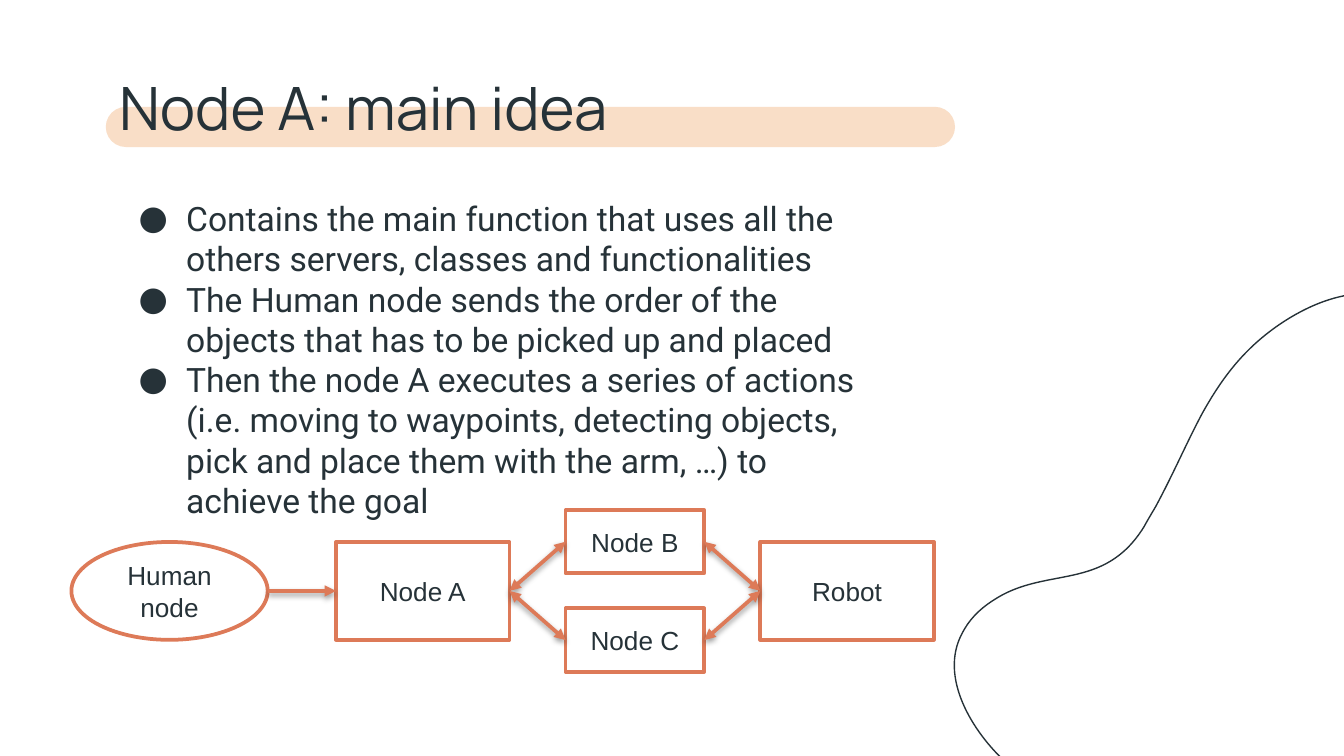
from lxml.etree import SubElement
from pptx import Presentation
from pptx.dml.color import RGBColor
from pptx.enum.shapes import MSO_CONNECTOR, MSO_SHAPE
from pptx.enum.text import MSO_ANCHOR, PP_ALIGN
from pptx.oxml.ns import qn
from pptx.util import Cm, Pt

COLORS = {"ink": "263238", "accent": "DD7A58", "peach": "F9DEC7",
          "white": "FFFFFF", "shadow": "000000"}

TITLE = "Node A: main idea"
BULLETS = [
    "Contains the main function that uses all the others servers, classes and functionalities",
    "The Human node sends the order of the objects that has to be picked up and placed",
    "Then the node A executes a series of actions (i.e. moving to waypoints, detecting objects, "
    "pick and place them with the arm, …) to achieve the goal",
]

# Diagram: label, shape, left, centre y, width, height (cm)
MID, OFFSET = 11.17, 0.93
NODES = [
    ("Human node", MSO_SHAPE.OVAL, 1.35, MID, 3.71, 1.85),
    ("Node A", MSO_SHAPE.RECTANGLE, 6.35, MID, 3.28, 1.85),
    ("Node B", MSO_SHAPE.RECTANGLE, 10.69, MID - OFFSET, 2.62, 1.2),
    ("Node C", MSO_SHAPE.RECTANGLE, 10.69, MID + OFFSET, 2.62, 1.2),
    ("Robot", MSO_SHAPE.RECTANGLE, 14.37, MID, 3.28, 1.85),
]
# From, to, arrowhead at both ends
LINKS = [
    ("Human node", "Node A", False),
    ("Node A", "Node B", True),
    ("Node A", "Node C", True),
    ("Node B", "Robot", True),
    ("Node C", "Robot", True),
]

# Blob outline: start point, then cubic Bezier segments (cm)
BLOB_START = (18.19, 11.96)
BLOB_CURVES = [
    ((18.31, 11.73), (18.49, 11.53), (18.77, 11.35)),
    ((19.76, 10.69), (20.85, 11.2), (21.62, 9.96)),
    ((21.69, 9.83), (21.77, 9.7), (21.84, 9.58)),
    ((22.17, 8.97), (22.43, 8.36), (22.73, 7.8)),
    ((23.09, 7.16), (23.52, 6.55), (24.31, 6.05)),
    ((25.65, 5.21), (26.75, 5.49), (27.76, 6.35)),
    ((29.51, 7.82), (29.49, 10.03), (28.42, 11.96)),
    ((27.97, 12.8), (27.33, 13.59), (26.54, 14.25)),
    ((24.05, 16.36), (21.03, 16.31), (19, 14.4)),
    ((18.39, 13.84), (17.73, 12.8), BLOB_START),
]


def rgb(name):
    return RGBColor.from_string(COLORS[name])


def style(sp, fill=None, line=None, width=2):
    sp.shadow.inherit = False
    if fill:
        sp.fill.solid()
        sp.fill.fore_color.rgb = rgb(fill)
    else:
        sp.fill.background()
    if line:
        sp.line.color.rgb = rgb(line)
        sp.line.width = Pt(width)
    else:
        sp.line.fill.background()


def format_runs(p, font, size):
    for r in p.runs:
        r.font.name = font
        r.font.size = Pt(size)
        r.font.color.rgb = rgb("ink")


def add_text(s, text, box, font, size):
    tf = s.shapes.add_textbox(*map(Cm, box)).text_frame
    tf.word_wrap = True
    tf.margin_left = tf.margin_right = tf.margin_top = tf.margin_bottom = Cm(0.25)
    tf.text = text
    for p in tf.paragraphs:
        format_runs(p, font, size)
    return tf


def add_bullet(p, font, size):
    pPr = p._p.get_or_add_pPr()
    pPr.set("marL", str(Cm(1.27)))
    pPr.set("indent", str(-Cm(0.9)))
    color = SubElement(pPr, qn("a:buClr"))
    SubElement(color, qn("a:srgbClr"), val=COLORS["ink"])
    SubElement(pPr, qn("a:buSzPts"), val=str(size * 100))
    SubElement(pPr, qn("a:buFont"), typeface=font)
    SubElement(pPr, qn("a:buChar"), char="●")


def add_blob(s):
    points = [(Cm(x), Cm(y)) for curve in BLOB_CURVES for x, y in curve]
    builder = s.shapes.build_freeform(*map(Cm, BLOB_START))
    builder.add_line_segments(points, close=True)
    sp = builder.convert_to_shape()
    # Every three line points become one Bezier segment
    lines = list(sp._element.iter(qn("a:lnTo")))
    for i in range(0, len(lines), 3):
        first, *others = lines[i:i + 3]
        curve = first.makeelement(qn("a:cubicBezTo"))
        first.addprevious(curve)
        for line in (first, *others):
            curve.append(line[0])
            line.getparent().remove(line)
    style(sp, line="ink", width=0.75)


def add_node(s, label, kind, left, mid, width, height):
    sp = s.shapes.add_shape(kind, Cm(left), Cm(mid - height / 2), Cm(width), Cm(height))
    style(sp, "white", "accent")
    tf = sp.text_frame
    tf.word_wrap = True
    tf.vertical_anchor = MSO_ANCHOR.MIDDLE
    tf.text = label
    p = tf.paragraphs[0]
    p.alignment = PP_ALIGN.CENTER
    format_runs(p, "Arial", 14)
    return sp


def add_arrow(s, a, b, both):
    c = s.shapes.add_connector(MSO_CONNECTOR.STRAIGHT,
                               a.left + a.width, a.top + a.height // 2,
                               b.left, b.top + b.height // 2)
    if a.auto_shape_type == MSO_SHAPE.RECTANGLE:
        c.begin_connect(a, 3)
    c.end_connect(b, 1)
    c.line.color.rgb = rgb("accent")
    c.line.width = Pt(2)
    ln = c.line._get_or_add_ln()
    for end in ("a:headEnd", "a:tailEnd") if both else ("a:tailEnd",):
        SubElement(ln, qn(end), type="triangle")
    # Soft shadow below the line
    effects = SubElement(c._element.spPr, qn("a:effectLst"))
    shadow = SubElement(effects, qn("a:outerShdw"), blurRad=str(Pt(3.1)),
                        dist=str(Pt(1.6)), dir="5400000", rotWithShape="0")
    color = SubElement(shadow, qn("a:srgbClr"), val=COLORS["shadow"])
    SubElement(color, qn("a:alpha"), val="38000")


def main():
    prs = Presentation()
    prs.slide_width, prs.slide_height = Cm(25.4), Cm(14.29)
    s = prs.slides.add_slide(prs.slide_layouts[6])

    # Title highlight and blob
    bar = s.shapes.add_shape(MSO_SHAPE.ROUNDED_RECTANGLE, Cm(2), Cm(2.02), Cm(16.05), Cm(0.76))
    bar.adjustments[0] = 0.5
    style(bar, "peach")
    add_blob(s)

    # Bullets and title
    tf = add_text(s, "\n".join(BULLETS), (2, 3.49, 14.58, 5.56), "Roboto", 18)
    for p in tf.paragraphs:
        add_bullet(p, "Roboto", 18)
    add_text(s, TITLE, (2, 1.08, 21.41, 1.7), "Manrope", 32)

    # Node diagram
    nodes = {node[0]: add_node(s, *node) for node in NODES}
    for start, end, both in LINKS:
        add_arrow(s, nodes[start], nodes[end], both)

    prs.save("out.pptx")


if __name__ == "__main__":
    main()
